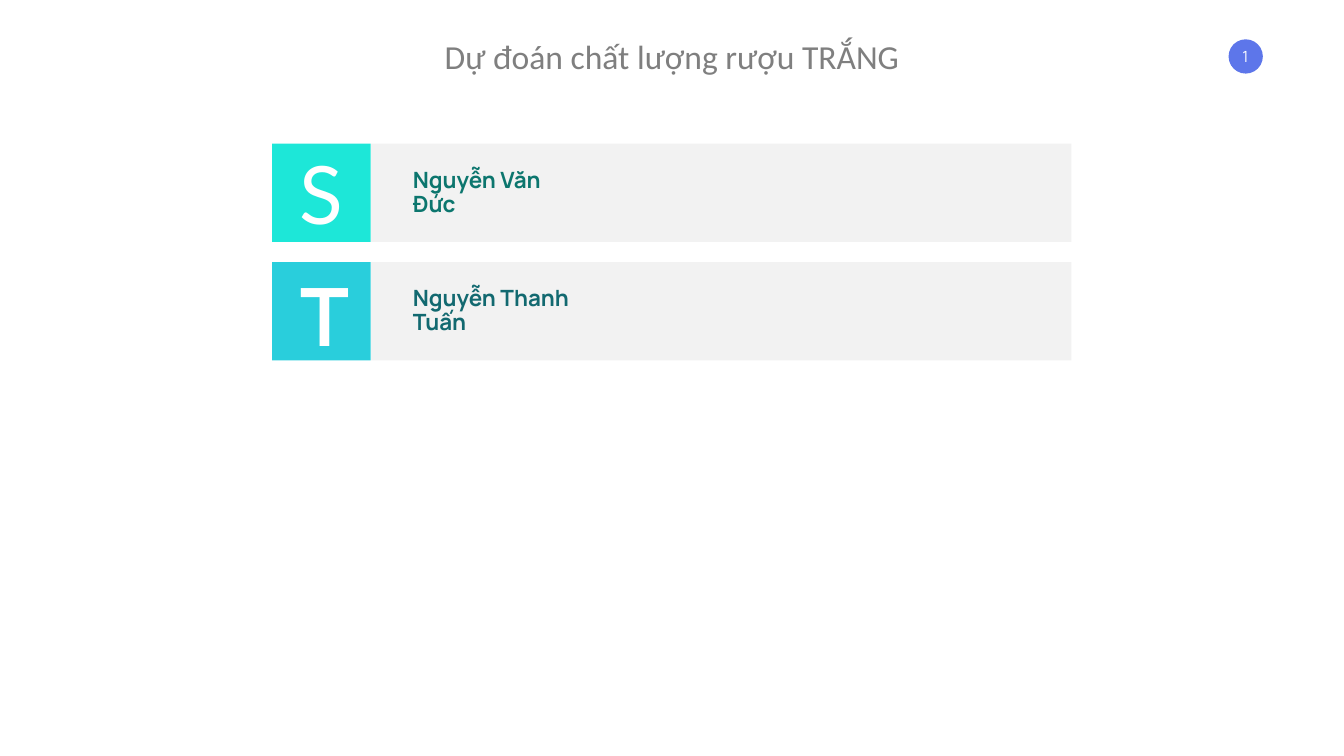
from pptx import Presentation
from pptx.dml.color import RGBColor
from pptx.enum.shapes import MSO_SHAPE
from pptx.enum.text import MSO_ANCHOR, PP_ALIGN
from pptx.util import Emu, Pt

RECT, OVAL = MSO_SHAPE.RECTANGLE, MSO_SHAPE.OVAL
TOP, MIDDLE = MSO_ANCHOR.TOP, MSO_ANCHOR.MIDDLE
LEFT, CENTER = PP_ALIGN.LEFT, PP_ALIGN.CENTER

PX = 9144  # EMU in one px, 100 px to the inch
WHITE, GRAY, PANEL = "FFFFFF", "7F7F7F", "F2F2F2"


def px(*lengths):
    return [Emu(length * PX) for length in lengths]


def color(hex_string):
    return RGBColor.from_string(hex_string)


def add_block(slide, kind, box, fill):
    block = slide.shapes.add_shape(kind, *px(*box))
    block.shadow.inherit = False
    block.fill.solid()
    block.fill.fore_color.rgb = color(fill)
    block.line.fill.background()
    return block


def write(shape, words, size, font, ink, bold=False, align=CENTER,
          anchor=MIDDLE, spacing=1.0, wrap=True):
    frame = shape.text_frame
    frame.word_wrap = wrap
    frame.vertical_anchor = anchor
    paragraph = frame.paragraphs[0]
    paragraph.alignment = align
    paragraph.line_spacing = spacing
    run = paragraph.add_run()
    run.text = words
    run.font.size = Pt(size)
    run.font.name = font
    run.font.bold = bold
    run.font.color.rgb = color(ink)


def add_label(slide, box, words, size, font, ink, **style):
    label = slide.shapes.add_textbox(*px(*box))
    write(label, words, size, font, ink, **style)


def place_title(slide, box, words):
    title = slide.shapes.title
    title.left, title.top, title.width, title.height = px(*box)
    write(title, words, 48, "Calibri", GRAY, anchor=TOP, wrap=False)


def add_page_number(slide, box, number):
    left, top, width, height = box
    add_block(slide, OVAL, box, "5D76EA")
    add_label(slide, (left + 1, top + 11, width - 3, height - 21),
              number, 22, "Manrope", WHITE)


def add_member(slide, box, letter, letter_font, tile_color, name, name_width, ink):
    left, top, width, height = box
    # Square tile with its letter
    tile = add_block(slide, RECT, (left, top, height, height), tile_color)
    if letter_font == "Lato":
        write(tile, letter, 115, letter_font, WHITE)
    else:
        add_label(slide, (left + 47, top + 1, 100, 204),
                  letter, 115, letter_font, WHITE, bold=True)
    # Panel with the member's name
    add_block(slide, RECT, (left + height + 1, top, width - height - 1, height), PANEL)
    add_label(slide, (left + 269, top + 66, name_width, 64), name, 32, "Manrope",
              ink, bold=True, align=LEFT, spacing=0.9)


def main():
    prs = Presentation()
    prs.slide_width, prs.slide_height = px(2666, 1500)
    slide = prs.slides.add_slide(prs.slide_layouts[5])

    place_title(slide, (809, 67, 1048, 91), "Dự đoán chất lượng rượu TRẮNG")
    add_page_number(slide, (2437, 78, 68, 68), "1")

    members = [
        ("S", "Lato", "1DE7D8", "Nguyễn Văn Đức", 329, "0C766E"),
        ("T", "Manrope", "29CEDC", "Nguyễn Thanh Tuấn", 389, "126970"),
    ]
    for row, member in enumerate(members):
        add_member(slide, (540, 285 + row * 235, 1585, 195), *member)

    prs.save("out.pptx")


if __name__ == "__main__":
    main()
